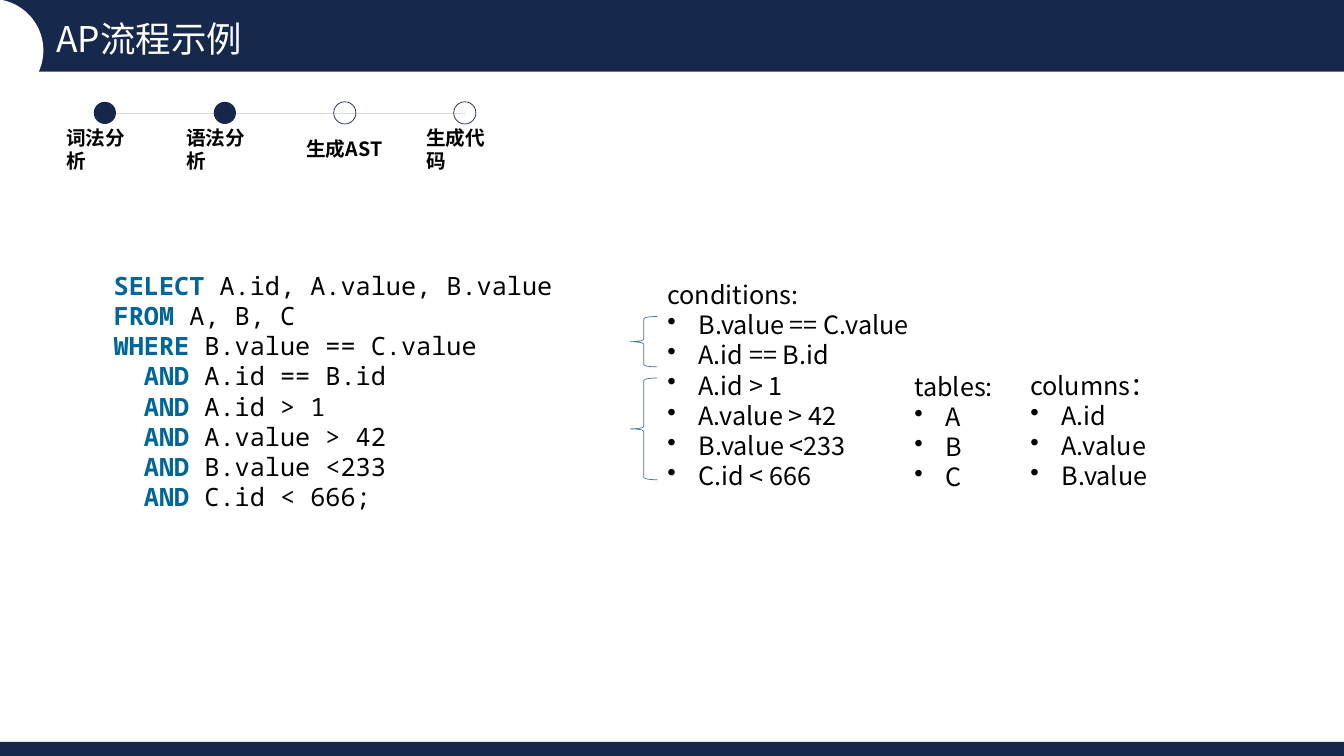
"""Build the slide that walks through an AP query, from SQL text to its parsed parts."""
from lxml.etree import SubElement
from pptx import Presentation
from pptx.dml.color import RGBColor
from pptx.enum.shapes import MSO_CONNECTOR, MSO_SHAPE
from pptx.enum.text import MSO_ANCHOR, PP_ALIGN
from pptx.oxml.ns import qn
from pptx.util import Pt

PX = 9144
SANS = "Noto Sans CJK SC"
MONO = "Noto Sans Mono"
COLORS = {name: RGBColor.from_string(value) for name, value in {
    "band": "16294C", "step": "17274C", "keyword": "006699", "brace": "4276AA",
    "track": "D9D9D9", "text": "000000", "white": "FFFFFF"}.items()}


def add_plain_shape(page, kind, bounds, fill=None, line=None):
    shape = page.shapes.add_shape(kind, *[value * PX for value in bounds])
    shape.shadow.inherit = False
    if fill:
        shape.fill.solid()
        shape.fill.fore_color.rgb = COLORS[fill]
    else:
        shape.fill.background()
    if line:
        shape.line.color.rgb = COLORS[line]
        shape.line.width = Pt(0.5)
    else:
        shape.line.fill.background()


def style_paragraph(para, size, color="text", face=SANS, bold=False):
    para.alignment = PP_ALIGN.LEFT
    para.font.size = Pt(size)
    para.font.name = face
    para.font.bold = bold
    para.font.color.rgb = COLORS[color]
    defaults = para._p.pPr.find(qn("a:defRPr"))
    SubElement(defaults, qn("a:ea"), typeface=face)


deck = Presentation()
deck.slide_width, deck.slide_height = 1333 * PX, 750 * PX
page = deck.slides.add_slide(deck.slide_layouts[5])

add_plain_shape(page, MSO_SHAPE.RECTANGLE, (0, 0, 1333, 71), fill="band")
add_plain_shape(page, MSO_SHAPE.OVAL, (-59, -1, 102, 102), fill="white")
add_plain_shape(page, MSO_SHAPE.RECTANGLE, (0, 736, 1333, 14), fill="band")

title = page.shapes.title
title.element.getparent().append(title.element)
title.left, title.top, title.width, title.height = [value * PX for value in (56, 12, 451, 46)]
frame = title.text_frame
frame.margin_left = frame.margin_right = frame.margin_top = frame.margin_bottom = 0
frame.vertical_anchor = MSO_ANCHOR.MIDDLE
frame.text = "AP流程示例"
frame.paragraphs[0].line_spacing = 1.16
style_paragraph(frame.paragraphs[0], 25.3, "white")

track = page.shapes.add_connector(
    MSO_CONNECTOR.STRAIGHT, 103 * PX, 112 * PX, 461 * PX, 112 * PX)
track.line.color.rgb = COLORS["track"]
track.line.width = Pt(0.25)
SubElement(track._element.spPr, qn("a:effectLst"))

steps = [("词法分析", True), ("语法分析", True), ("生成AST", False), ("生成代码", False)]
for index, (label, done) in enumerate(steps):
    left = 56 + 119 * index
    look = {"fill": "step"} if done else {"line": "step"}
    add_plain_shape(page, MSO_SHAPE.OVAL, (left + 37, 101, 22, 22), **look)
    box = page.shapes.add_textbox(left * PX, 128 * PX, 96 * PX, 40 * PX)
    box.text_frame.word_wrap = False
    box.text_frame.vertical_anchor = MSO_ANCHOR.MIDDLE
    box.text_frame.text = label
    style_paragraph(box.text_frame.paragraphs[0], 14, bold=True)

query = [
    ("SELECT", "A.id, A.value, B.value"),
    ("FROM", "A, B, C"),
    ("WHERE", "B.value == C.value"),
    ("AND", "A.id == B.id"),
    ("AND", "A.id > 1"),
    ("AND", "A.value > 42"),
    ("AND", "B.value <233"),
    ("AND", "C.id < 666;"),
]
box = page.shapes.add_textbox(103 * PX, 263 * PX, 497 * PX, 252 * PX)
box.text_frame.word_wrap = True
for index, (keyword, clause) in enumerate(query):
    para = box.text_frame.add_paragraph() if index else box.text_frame.paragraphs[0]
    style_paragraph(para, 18, face=MONO)
    if keyword == "AND":
        para._p.pPr.set("marL", str(30 * PX))
    span = para.add_run()
    span.text = keyword
    span.font.bold = True
    span.font.color.rgb = COLORS["keyword"]
    para.add_run().text = " " + clause

parsed_lists = [
    ((652, 272, 385, 222), "conditions:",
     ["B.value == C.value", "A.id == B.id", "A.id > 1",
      "A.value > 42", "B.value <233", "C.id < 666"]),
    ((897, 363, 117, 131), "tables:", ["A", "B", "C"]),
    ((1012, 362, 175, 131), "columns：", ["A.id", "A.value", "B.value"]),
]
for bounds, heading, items in parsed_lists:
    box = page.shapes.add_textbox(*[value * PX for value in bounds])
    box.text_frame.word_wrap = True
    box.text_frame.text = "\n".join([heading, *items])
    for index, para in enumerate(box.text_frame.paragraphs):
        if index:
            properties = para._p.get_or_add_pPr()
            properties.set("marL", str(31 * PX))
            properties.set("indent", str(-31 * PX))
            SubElement(properties, qn("a:buChar"), char="•")
        style_paragraph(para, 18)

for top, height in [(314, 50), (375, 101)]:
    add_plain_shape(page, MSO_SHAPE.LEFT_BRACE, (625, top, 27, height), line="brace")

deck.save("out.pptx")
